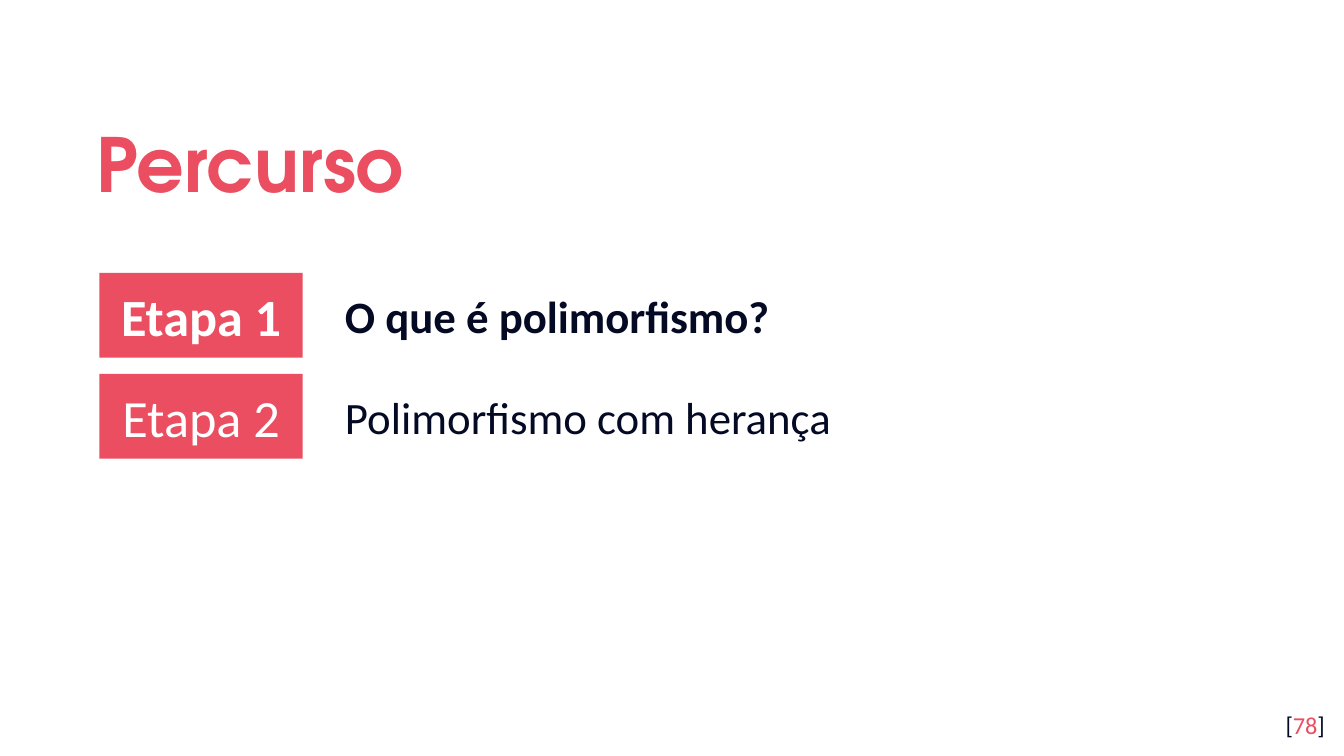
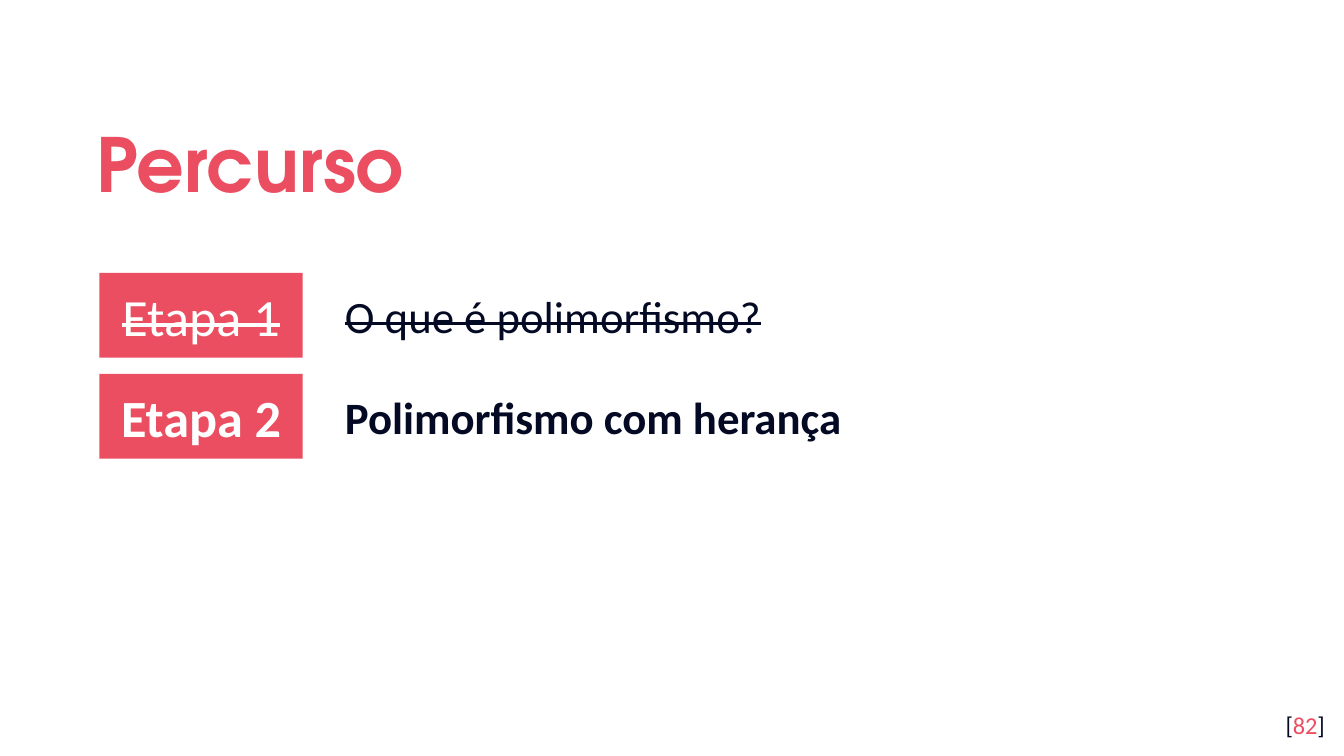
from lxml.etree import SubElement
from pptx import Presentation
from pptx.dml.color import RGBColor
from pptx.enum.shapes import MSO_SHAPE
from pptx.enum.text import MSO_ANCHOR, MSO_AUTO_SIZE, PP_ALIGN
from pptx.oxml.ns import qn
from pptx.util import Cm, Pt

COLORS = {"accent": "EA4E60", "ink": "040A24", "paper": "FFFFFF"}
BODY_FONT = "Calibri"
TITLE_FONT = "TeX Gyre Adventor"
STEPS = ["O que é polimorfismo?", "Polimorfismo com herança"]
TITLE_BOX = (1.57, 1.78, 20.57, 2.34)
STEPS_BOX = (1.88, 5.16, 21.54, 3.51)
PAGE_BOX = (23.77, 13.18, 1.52, 1.09)
STEP_H, STEP_GAP, LABEL_W, TEXT_X = 1.6, 0.31, 3.84, 4.39
TEXT_H = 1.27


def place(sp, x, y, w, h):
    sp.left, sp.top, sp.width, sp.height = Cm(x), Cm(y), Cm(w), Cm(h)


def frame(sp, anchor, pad_y=0.25):
    tf = sp.text_frame
    tf.word_wrap = True
    tf.auto_size = MSO_AUTO_SIZE.NONE
    tf.vertical_anchor = anchor
    tf.margin_left = tf.margin_right = Cm(0.25)
    tf.margin_top = tf.margin_bottom = Cm(pad_y)
    return tf.paragraphs[0]


def add_run(p, text, size, color, bold=False, strike=False, font=BODY_FONT):
    r = p.add_run()
    r.text = text
    r.font.name = font
    r.font.size = Pt(size)
    r.font.bold = bold
    r.font.color.rgb = RGBColor.from_string(COLORS[color])
    if strike:
        r._r.get_or_add_rPr().set("strike", "sngStrike")


def add_title(s, text, box):
    sp = s.shapes.title
    place(sp, *box)
    p = frame(sp, MSO_ANCHOR.MIDDLE)
    p.alignment = PP_ALIGN.LEFT
    p.line_spacing = 1.15
    add_run(p, text, 40, "accent", bold=True, font=TITLE_FONT)


def add_label(s, text, box, bold, strike):
    sp = s.shapes.add_shape(MSO_SHAPE.RECTANGLE, *map(Cm, box))
    sp.shadow.inherit = False
    sp.fill.solid()
    sp.fill.fore_color.rgb = RGBColor.from_string(COLORS["accent"])
    sp.line.fill.background()
    p = frame(sp, MSO_ANCHOR.MIDDLE)
    p.alignment = PP_ALIGN.CENTER
    add_run(p, text, 28, "paper", bold, strike)


def add_topic(sp, text, box, bold, strike):
    place(sp, *box)
    p = frame(sp, MSO_ANCHOR.TOP, 0.13)
    p.space_before = Pt(0)
    pPr = p._p.get_or_add_pPr()
    pPr.set("marL", str(Cm(1.27)))
    pPr.set("indent", str(-Cm(1.27)))
    SubElement(pPr, qn("a:buNone"))
    add_run(p, text, 24, "ink", bold, strike)


def add_steps(s, current, box):
    x, y, w, h = box
    for n, topic in enumerate(STEPS, 1):
        top = y + (n - 1) * (STEP_H + STEP_GAP)
        style = (n == current, n < current)
        add_label(s, f"Etapa {n}", (x, top, LABEL_W, STEP_H), *style)
        text_box = (x + TEXT_X, top + (STEP_H - TEXT_H) / 2, w - TEXT_X, TEXT_H)
        add_topic(s.placeholders[n], topic, text_box, *style)


def add_page_number(s, number, box):
    sp = s.shapes.add_textbox(*map(Cm, box))
    p = frame(sp, MSO_ANCHOR.TOP)
    p.alignment = PP_ALIGN.RIGHT
    for text, color in (("[", "ink"), (str(number), "accent"), ("]", "ink")):
        add_run(p, text, 13, color)


def add_route_slide(prs, current, number):
    s = prs.slides.add_slide(prs.slide_layouts.get_by_name("Two Content"))
    s.background.fill.solid()
    s.background.fill.fore_color.rgb = RGBColor.from_string(COLORS["paper"])
    add_title(s, "Percurso", TITLE_BOX)
    add_steps(s, current, STEPS_BOX)
    add_page_number(s, number, PAGE_BOX)


def main():
    prs = Presentation()
    prs.slide_width, prs.slide_height = Cm(25.4), Cm(14.29)
    for current, number in ((1, 78), (2, 82)):
        add_route_slide(prs, current, number)
    prs.save("out.pptx")


if __name__ == "__main__":
    main()
